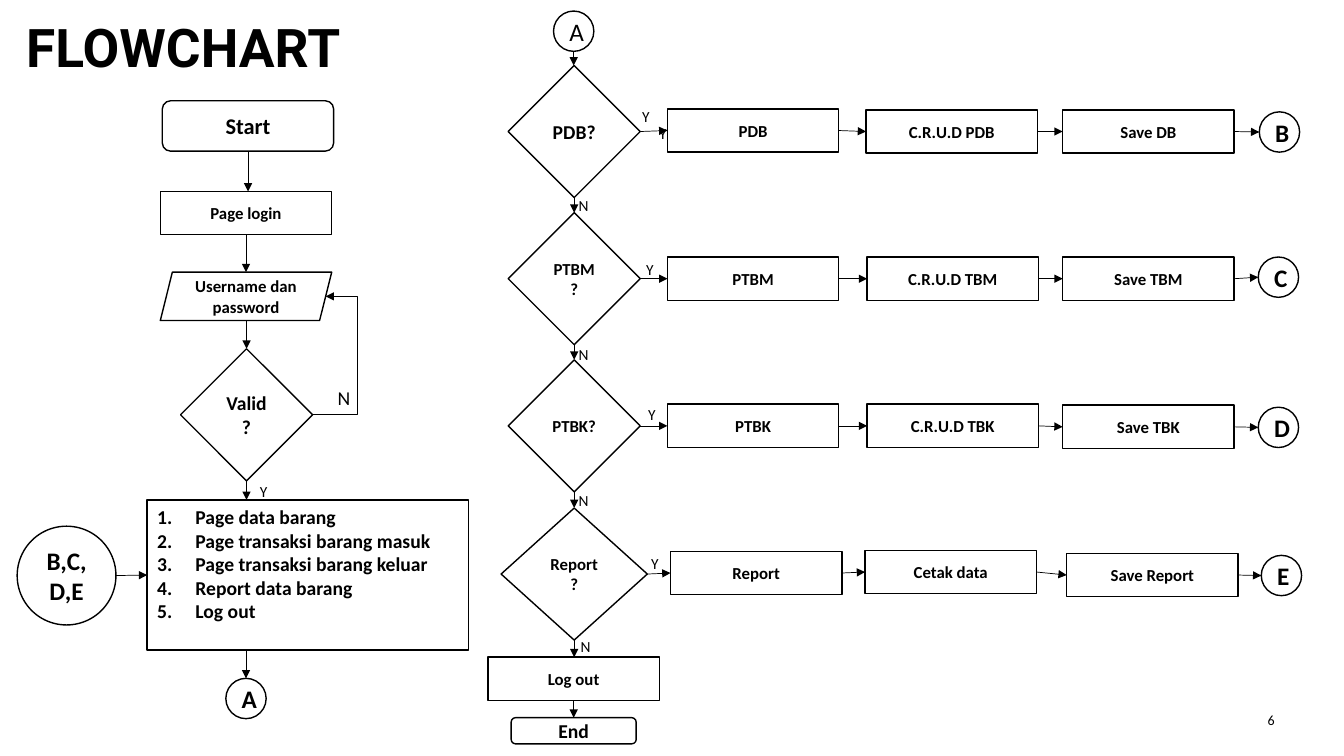
import pptx
import pptx.util
import pptx.dml.color
import pptx.enum.shapes
import pptx.enum.text
import pptx.oxml
import pptx.oxml.ns
from lxml import etree

Inches = pptx.util.Inches
Pt = pptx.util.Pt
Kind = pptx.enum.shapes.MSO_SHAPE
Wire = pptx.enum.shapes.MSO_CONNECTOR
Align = pptx.enum.text.PP_ALIGN
Anchor = pptx.enum.text.MSO_ANCHOR
Fit = pptx.enum.text.MSO_AUTO_SIZE
qn = pptx.oxml.ns.qn

COLORS = {"ink": "000000", "paper": "FFFFFF"}
BOX = (1.7, 0.43)
DOT = (0.4, 0.4)
GEM = (1.31, 1.31)

# Each row: question (text, left, top, width, font size), three steps, end dot
ROWS = [
    (("PDB?", 5.04, 0.65, 1.31, 14),
     [("PDB", 6.62, 1.08), ("C.R.U.D PDB", 8.59, 1.09), ("Save DB", 10.54, 1.09)],
     ("B", 12.49, 1.11)),
    (("PTBM?", 5.04, 2.11, 1.31, 12),
     [("PTBM", 6.62, 2.55), ("C.R.U.D TBM", 8.6, 2.55), ("Save TBM", 10.54, 2.55)],
     ("C", 12.48, 2.55)),
    (("PTBK?", 5.04, 3.57, 1.31, 12),
     [("PTBK", 6.62, 4.01), ("C.R.U.D TBK", 8.6, 4.01), ("Save TBK", 10.54, 4.02)],
     ("D", 12.48, 4.04)),
    (("Report?", 4.97, 5.04, 1.45, 12),
     [("Report", 6.65, 5.47), ("Cetak data", 8.58, 5.46), ("Save Report", 10.58, 5.49)],
     ("E", 12.51, 5.51)),
]
MENU = ["Page data barang", "Page transaksi barang masuk",
        "Page transaksi barang keluar", "Report data barang", "Log out"]
LABELS = [
    ("N", 3.25, 3.78, 14), ("Y", 2.48, 4.73, 11),
    ("N", 5.64, 1.9, 11), ("N", 5.64, 3.37, 11),
    ("N", 5.64, 4.82, 11), ("N", 5.66, 6.27, 11),
    ("Y", 6.27, 1.01, 11), ("Y", 6.44, 1.18, 11), ("Y", 6.31, 2.53, 11),
    ("Y", 6.33, 3.97, 11), ("Y", 6.36, 5.45, 11),
]


def paint(name):
    return pptx.dml.color.RGBColor.from_string(COLORS[name])


def style(frame, size, bold=False, align=Align.LEFT, face="Calibri"):
    for para in frame.paragraphs:
        para.alignment = align
        for run in para.runs:
            run.font.size = Pt(size)
            run.font.bold = bold
            run.font.name = face
            run.font.color.rgb = paint("ink")


def node(slide, kind, text, left, top, area, size=12, bold=True):
    """Add an outlined flowchart shape; area is (width, height)."""
    shape = slide.shapes.add_shape(
        kind, Inches(left), Inches(top), Inches(area[0]), Inches(area[1]))
    shape.shadow.inherit = False
    shape.fill.solid()
    shape.fill.fore_color.rgb = paint("paper")
    shape.line.color.rgb = paint("ink")
    shape.line.width = Pt(1)
    frame = shape.text_frame
    frame.word_wrap = True
    frame.vertical_anchor = Anchor.MIDDLE
    frame.text = text
    style(frame, size, bold, Align.CENTER)
    return shape


def arrow(slide, start, end, kind=Wire.STRAIGHT):
    line = slide.shapes.add_connector(kind, *start, *end)
    line.line.color.rgb = paint("ink")
    line.line.width = Pt(0.5)
    tip = etree.SubElement(line.line._get_or_add_ln(), qn("a:tailEnd"))
    tip.set("type", "triangle")
    etree.SubElement(line._element.spPr, qn("a:effectLst"))
    return line


def middle(shape):
    return shape.left + shape.width // 2, shape.top + shape.height // 2


def down(slide, *chain):
    """Join shapes top to bottom, each arrow centred on the narrower one."""
    for upper, lower in zip(chain, chain[1:]):
        x = middle(min(upper, lower, key=lambda shape: shape.width))[0]
        arrow(slide, (x, upper.top + upper.height), (x, lower.top))


def across(slide, *chain):
    """Join shapes left to right."""
    for near, far in zip(chain, chain[1:]):
        arrow(slide, (near.left + near.width, middle(near)[1]),
              (far.left, middle(far)[1]))


def loop(slide, low, high):
    """Lead an elbow from the right of low, out to a bend, back to high."""
    start = (low.left + low.width, middle(low)[1])
    end = (Inches(3.23), middle(high)[1])
    line = arrow(slide, start, end, Wire.ELBOW)
    ratio = (Inches(3.55) - start[0]) / (end[0] - start[0])
    guides = line._element.spPr.find(qn("a:prstGeom")).get_or_add_avLst()
    guide = etree.SubElement(guides, qn("a:gd"))
    guide.set("name", "adj1")
    guide.set("fmla", f"val {round(ratio * 100000)}")


def label(slide, text, left, top, size):
    box = slide.shapes.add_textbox(
        Inches(left), Inches(top), Inches(0.3), Inches(0.29))
    box.text_frame.word_wrap = False
    box.text_frame.auto_size = Fit.SHAPE_TO_FIT_TEXT
    box.text_frame.text = text
    style(box.text_frame, size)


def number(frame):
    """Turn the paragraphs into a numbered list."""
    for para in frame.paragraphs:
        props = para._p.get_or_add_pPr()
        props.set("marL", str(Inches(0.38)))
        props.set("indent", str(-Inches(0.38)))
        mark = etree.SubElement(props, qn("a:buFont"))
        mark.set("typeface", "+mj-lt")
        mark = etree.SubElement(props, qn("a:buAutoNum"))
        mark.set("type", "arabicPeriod")


def head(slide):
    title = slide.shapes.title
    title.left, title.top = Inches(0.16), Inches(0.1)
    title.width, title.height = Inches(3.62), Inches(0.8)
    frame = title.text_frame
    frame.text = "FLOWCHART"
    frame.vertical_anchor = Anchor.MIDDLE
    frame.paragraphs[0].line_spacing = 0.9
    style(frame, 38, True, face="Roboto")


def login(slide):
    start = node(slide, Kind.ROUNDED_RECTANGLE, "Start", 1.61, 1, (1.7, 0.5), 16)
    page = node(slide, Kind.RECTANGLE, "Page login", 1.59, 1.9, BOX)
    user = node(slide, Kind.PARALLELOGRAM, "Username dan password",
                1.59, 2.7, (1.7, 0.48))
    valid = node(slide, Kind.DIAMOND, "Valid?", 1.79, 3.46, GEM, 14)
    menu = node(slide, Kind.RECTANGLE, "\n".join(MENU), 1.46, 4.96, (3.19, 1.49))
    menu.text_frame.vertical_anchor = Anchor.TOP
    style(menu.text_frame, 14, True)
    number(menu.text_frame)
    leave = node(slide, Kind.OVAL, "A", 2.24, 6.73, DOT, 18)
    back = node(slide, Kind.OVAL, "B,C,D,E", 0.17, 5.22, (0.98, 0.98), 18)
    down(slide, start, page, user, valid, menu, leave)
    across(slide, back, menu)
    loop(slide, valid, user)


def choice(slide):
    spine = [node(slide, Kind.OVAL, "A", 5.49, 0.11, DOT, 18, False)]
    for (text, left, top, width, size), steps, dot in ROWS:
        gem = node(slide, Kind.DIAMOND, text, left, top, (width, GEM[1]), size)
        boxes = [node(slide, Kind.RECTANGLE, *step, BOX) for step in steps]
        across(slide, gem, *boxes, node(slide, Kind.OVAL, *dot, DOT, 18))
        spine.append(gem)
    spine.append(node(slide, Kind.RECTANGLE, "Log out", 4.84, 6.52, BOX))
    spine.append(node(slide, Kind.ROUNDED_RECTANGLE, "End",
                      5.07, 7.12, (1.24, 0.26), 14))
    down(slide, *spine)


def folio(slide):
    box = slide.shapes.add_textbox(
        Inches(9.74), Inches(6.94), Inches(3), Inches(0.4))
    box.text_frame.word_wrap = True
    box.text_frame.vertical_anchor = Anchor.MIDDLE
    box.text_frame.text = "6"
    style(box.text_frame, 10, align=Align.RIGHT)


def main():
    deck = pptx.Presentation()
    deck.slide_width, deck.slide_height = Inches(13.33), Inches(7.5)
    slide = deck.slides.add_slide(deck.slide_layouts[5])
    head(slide)
    login(slide)
    choice(slide)
    for item in LABELS:
        label(slide, *item)
    folio(slide)
    deck.save("out.pptx")


if __name__ == "__main__":
    main()
